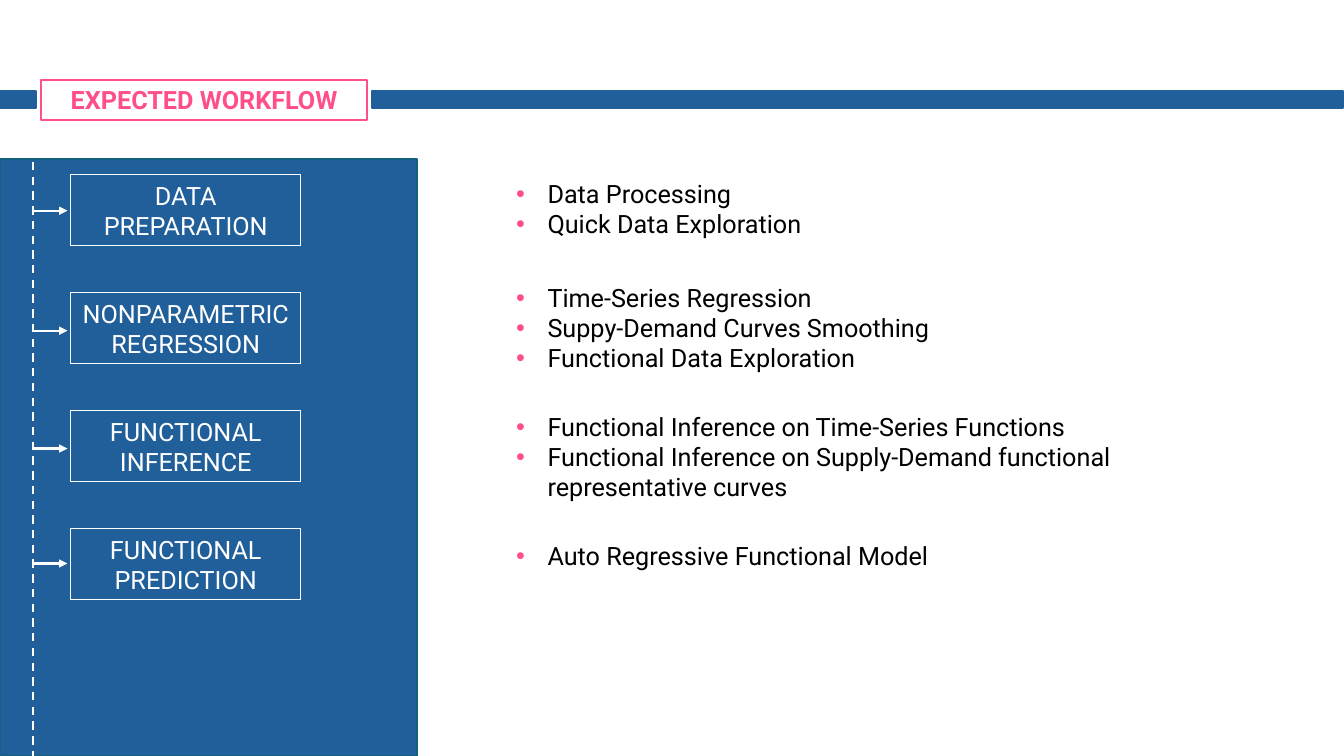
from pptx import Presentation
from pptx.dml.color import RGBColor as RGB
from pptx.enum.dml import MSO_LINE
from pptx.enum.shapes import MSO_CONNECTOR, MSO_SHAPE
from pptx.enum.text import MSO_ANCHOR as ANCHOR, MSO_AUTO_SIZE as FIT, PP_ALIGN as ALIGN
from pptx.oxml import parse_xml
from pptx.oxml.ns import nsdecls, qn
from pptx.util import Pt

BLUE = RGB(0x21, 0x5F, 0x9A)
TEAL = RGB(0x15, 0x60, 0x82)
PINK = RGB(0xFF, 0x4F, 0x8A)
WHITE = RGB(0xFF, 0xFF, 0xFF)
BLACK = RGB(0, 0, 0)

FONT = {"name": "Roboto", "size": Pt(18), "bold": False}
FRAME = {"word_wrap": True, "auto_size": FIT.NONE}
TIGHT = {"space_before": Pt(0), "space_after": Pt(0), "line_spacing": 1.0}

STEPS = [  # label, arrow height, list top, list height, list items
    ("DATA PREPARATION", 150.5, 123.84, 51.1,
     ["Data Processing", "Quick Data Exploration"]),
    ("NONPARAMETRIC REGRESSION", 236.2, 198, 72.7,
     ["Time-Series Regression", "Suppy-Demand Curves Smoothing",
      "Functional Data Exploration"]),
    ("FUNCTIONAL INFERENCE", 320.4, 290.16, 72.7,
     ["Functional Inference on Time-Series Functions",
      "Functional Inference on Supply-Demand functional representative curves"]),
    ("FUNCTIONAL\nPREDICTION", 402.5, 382.32, 28.8,
     ["Auto Regressive Functional Model"]),
]
RAIL = 23.8

deck = Presentation()
deck.slide_width, deck.slide_height = Pt(960), Pt(540)
# The Comparison layout holds one title and four bodies
slide = deck.slides.add_slide(deck.slide_layouts[4])
shapes = slide.shapes
title, *lists = slide.placeholders


def write(shape, box, text, color, anchor, align, **extra):
    """Place a shape and fill it with evenly formatted paragraphs."""
    shape.left, shape.top, shape.width, shape.height = map(Pt, box)
    frame = shape.text_frame
    frame.text = text
    for key, val in {**FRAME, "vertical_anchor": anchor}.items():
        setattr(frame, key, val)
    for para in frame.paragraphs:
        for key, val in {**TIGHT, "alignment": align}.items():
            setattr(para, key, val)
        for run in para.runs:
            for key, val in {**FONT, **extra}.items():
                setattr(run.font, key, val)
            run.font.color.rgb = color


def link(x1, y1, x2, y2):
    """Draw a white line without shadow and return it."""
    line = shapes.add_connector(MSO_CONNECTOR.STRAIGHT, *map(Pt, (x1, y1, x2, y2)))
    line.line.color.rgb = WHITE
    line.line.width = Pt(1.5)
    line._element.spPr.append(parse_xml(f"<a:effectLst {nsdecls('a')}/>"))
    return line


# Side panel and dashed rail
panel = shapes.add_shape(MSO_SHAPE.RECTANGLE, Pt(0), Pt(113.8), Pt(298.1), Pt(426.2))
panel.shadow.inherit = False
panel.fill.solid()
panel.fill.fore_color.rgb = BLUE
panel.line.color.rgb = TEAL
panel.line.width = Pt(1.5)
link(RAIL, 0, RAIL, 540).line.dash_style = MSO_LINE.DASH

# Title and the bars beside it
write(title, (29.5, 56.9, 232.6, 28.8), "EXPECTED WORKFLOW", PINK,
      ANCHOR.MIDDLE, ALIGN.CENTER, bold=True)
title.line.color.rgb = PINK
title.line.width = Pt(1.5)
for left, width in ((0, 25.9), (265.7, 693.4)):
    bar = shapes.add_shape(MSO_SHAPE.RECTANGLE, Pt(left), Pt(64.8), Pt(width), Pt(12.2))
    bar.shadow.inherit = False
    bar.fill.solid()
    bar.fill.fore_color.rgb = BLUE
    bar.line.color.rgb = BLUE
    bar.line.width = Pt(1.5)

# Steps, each with its arrow and list
for i, (label, mid, top, height, items) in enumerate(STEPS):
    step = shapes.add_shape(MSO_SHAPE.RECTANGLE, 0, 0, 0, 0)
    step.shadow.inherit = False
    step.fill.background()
    step.line.color.rgb = WHITE
    step.line.width = Pt(0.75)
    write(step, (50.6, 124.6 + 84.24 * i, 164.2, 51.1), label, WHITE,
          ANCHOR.MIDDLE, ALIGN.CENTER)

    arrow = link(RAIL, mid, 48.2, mid)
    arrow._element.spPr.find(qn("a:ln")).append(
        parse_xml(f'<a:tailEnd {nsdecls("a")} type="triangle"/>'))

    body = lists[i]
    write(body, (361.4, top, 501.1, height), "\n".join(items), BLACK,
          ANCHOR.TOP, ALIGN.LEFT)
    for para in body.text_frame.paragraphs:
        props = para._p.get_or_add_pPr()
        props.set("marL", str(Pt(22.5)))
        props.set("indent", str(-Pt(22.5)))
        for mark in (f'<a:buClr {nsdecls("a")}><a:srgbClr val="{PINK}"/></a:buClr>',
                     f'<a:buFont {nsdecls("a")} typeface="Arial"/>',
                     f'<a:buChar {nsdecls("a")} char="•"/>'):
            props.append(parse_xml(mark))

deck.save("out.pptx")
